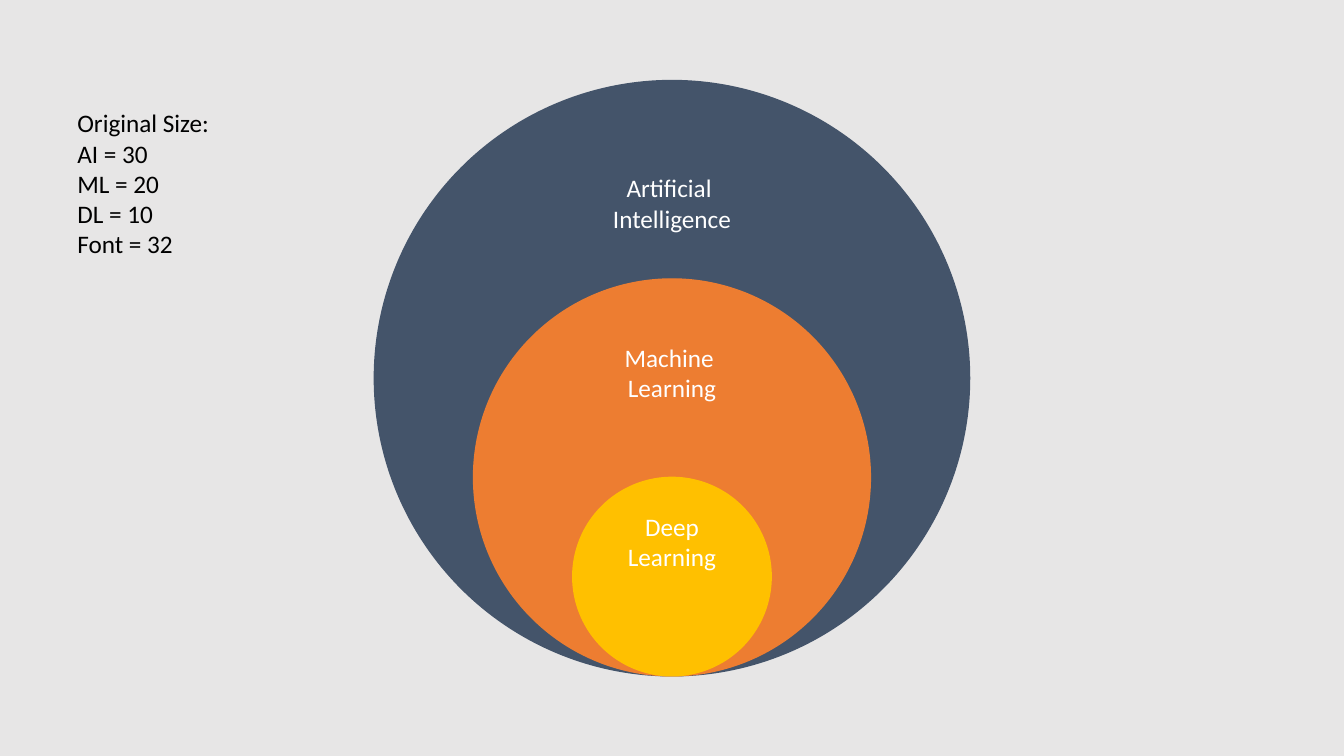
import pptx
import pptx.util
import pptx.dml.color
import pptx.enum.shapes
import pptx.enum.text

Cm = pptx.util.Cm
RGBColor = pptx.dml.color.RGBColor

BACKGROUND = RGBColor(0xE7, 0xE6, 0xE6)
SLATE = RGBColor(0x44, 0x54, 0x6A)
ORANGE = RGBColor(0xED, 0x7D, 0x31)
GOLD = RGBColor(0xFF, 0xC0, 0x00)
WHITE = RGBColor(0xFF, 0xFF, 0xFF)
BLACK = RGBColor(0x00, 0x00, 0x00)

SLIDE_WIDTH = 33.87
SLIDE_HEIGHT = 19.05
SHARED_BOTTOM = 17.03


class NestedCircles:
    font_name = "Calibri"
    font_size = pptx.util.Pt(18)

    def __init__(self, slide):
        self.slide = slide

    def background(self, color):
        fill = self.slide.background.fill
        fill.solid()
        fill.fore_color.rgb = color

    def set_text(self, frame, text, color, alignment):
        frame.word_wrap = True
        frame.vertical_anchor = pptx.enum.text.MSO_ANCHOR.TOP
        frame.text = text
        for paragraph in frame.paragraphs:
            paragraph.alignment = alignment
            for run in paragraph.runs:
                run.font.name = self.font_name
                run.font.size = self.font_size
                run.font.color.rgb = color

    def circle(self, field, diameter, color):
        disc = self.slide.shapes.add_shape(
            pptx.enum.shapes.MSO_SHAPE.OVAL,
            Cm((SLIDE_WIDTH - diameter) / 2), Cm(SHARED_BOTTOM - diameter),
            Cm(diameter), Cm(diameter))
        disc.shadow.inherit = False
        disc.fill.solid()
        disc.fill.fore_color.rgb = color
        disc.line.color.rgb = color
        disc.line.width = pptx.util.Pt(1)
        self.set_text(disc.text_frame, field, WHITE, pptx.enum.text.PP_ALIGN.CENTER)

    def note(self, text, left, top, width, height):
        box = self.slide.shapes.add_textbox(Cm(left), Cm(top), Cm(width), Cm(height))
        self.set_text(box.text_frame, text, BLACK, pptx.enum.text.PP_ALIGN.LEFT)
        box.text_frame.auto_size = pptx.enum.text.MSO_AUTO_SIZE.SHAPE_TO_FIT_TEXT


def main():
    deck = pptx.Presentation()
    deck.slide_width = Cm(SLIDE_WIDTH)
    deck.slide_height = Cm(SLIDE_HEIGHT)
    diagram = NestedCircles(deck.slides.add_slide(deck.slide_layouts[6]))
    diagram.background(BACKGROUND)

    fields = [
        ("Artificial \nIntelligence", 15, SLATE),
        ("Machine \nLearning", 10, ORANGE),
        ("Deep Learning", 5, GOLD),
    ]
    for field, diameter, color in fields:
        diagram.circle(field, diameter, color)

    diagram.note("Original Size:\nAI = 30\nML = 20\nDL = 10\nFont = 32",
                 1.7, 2.59, 5.23, 4.11)
    deck.save("out.pptx")


if __name__ == "__main__":
    main()
